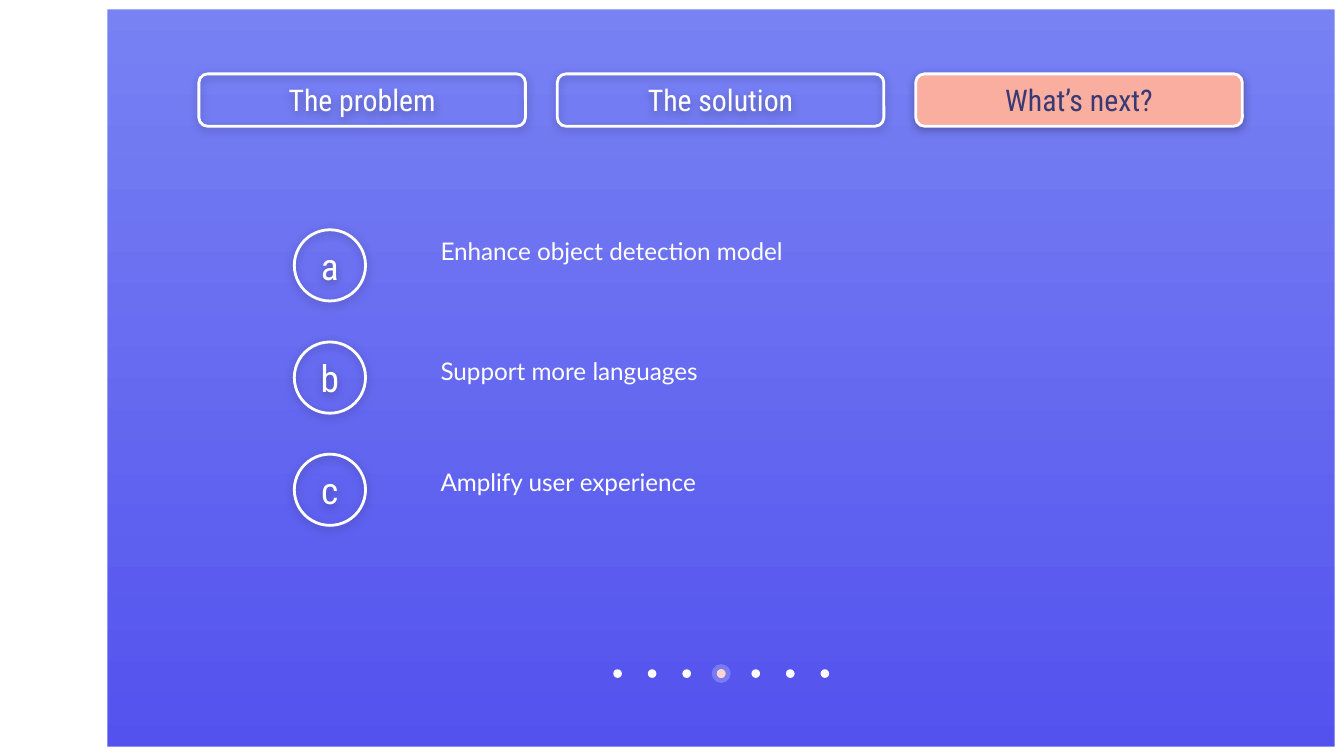
from lxml import etree
from pptx import Presentation
from pptx.dml.color import RGBColor
from pptx.enum.shapes import MSO_SHAPE
from pptx.enum.text import MSO_ANCHOR, PP_ALIGN
from pptx.oxml.ns import qn
from pptx.util import Inches, Pt

RECTANGLE = MSO_SHAPE.RECTANGLE
ROUNDED = MSO_SHAPE.ROUNDED_RECTANGLE
OVAL = MSO_SHAPE.OVAL
TOP, MIDDLE = MSO_ANCHOR.TOP, MSO_ANCHOR.MIDDLE
LEFT, CENTER = PP_ALIGN.LEFT, PP_ALIGN.CENTER

WIDTH, HEIGHT = Inches(10), Inches(5.625)
ASPECT = WIDTH / HEIGHT
WHITE, NAVY, CORAL, BLUSH = "FFFFFF", "393973", "F9AEA0", "FFD4CE"
HEADING, BODY = "Roboto Condensed", "Lato"

TABS = ["The problem", "The solution", "What’s next?"]
TAB_LEFT, TAB_STEP = 14.8, 26.67
STEPS = [
    ("a", "Enhance object detection model", 29.51, 47.4),
    ("b", "Support more languages", 45.33, 33.9),
    ("c", "Amplify user experience", 60.09, 33.9),
]
BADGE_TOP, BADGE_STEP, BADGE_SIZE = 30.4, 14.84, 5.3
DOT_COUNT, ACTIVE_DOT = 7, 3
DOT_LEFT, DOT_STEP, DOT_MIDDLE = 45.95, 2.57, 89.1


def color(value):
    return RGBColor.from_string(value)


def across(percent):
    return round(WIDTH * percent / 100)


def down(percent):
    return round(HEIGHT * percent / 100)


def place(left, top, width, height):
    return across(left), down(top), across(width), down(height)


def paint(shape, fill=None, line=None):
    shape.shadow.inherit = False
    if fill:
        shape.fill.solid()
        shape.fill.fore_color.rgb = color(fill)
    else:
        shape.fill.background()
    if line:
        shape.line.color.rgb = color(line)
        shape.line.width = Pt(1.5)
    else:
        shape.line.fill.background()


def add_figure(page, kind, area, fill=None, line=None):
    shape = page.shapes.add_shape(kind, *place(*area))
    paint(shape, fill, line)
    return shape


def add_glow(shape):
    effects = shape._element.spPr.find(qn("a:effectLst"))
    shadow = etree.SubElement(
        effects, qn("a:outerShdw"), blurRad=str(Pt(4.5)), dist=str(Pt(1.5)),
        dir="5400000", algn="bl", rotWithShape="0")
    tint = etree.SubElement(shadow, qn("a:srgbClr"), val=NAVY)
    etree.SubElement(tint, qn("a:alpha"), val="50000")


def set_opacity(shape, percent):
    tint = shape._element.spPr.find(qn("a:solidFill"))[0]
    etree.SubElement(tint, qn("a:alpha"), val=str(percent * 1000))


def write(shape, text, size, font, ink, align=CENTER, anchor=MIDDLE, side=0.1):
    frame = shape.text_frame
    frame.text = text
    frame.word_wrap = True
    frame.vertical_anchor = anchor
    frame.margin_left = frame.margin_right = Inches(side)
    frame.margin_top = frame.margin_bottom = Inches(0.1)
    para = frame.paragraphs[0]
    para.alignment = align
    span = para.runs[0].font
    span.size, span.name, span.color.rgb = Pt(size), font, color(ink)


def add_background(page):
    fill = page.background.fill
    fill.gradient()
    fill.gradient_angle = 270
    for stop, value in zip(fill.gradient_stops, ("7882F3", "5352EE")):
        stop.color.rgb = color(value)


def add_frame(page):
    inset_x, inset_y = across(0.7), down(1.24)
    right, bottom = WIDTH - inset_x, HEIGHT - inset_y
    builder = page.shapes.build_freeform(right, inset_y)
    builder.add_line_segments(
        [(right, bottom), (inset_x, bottom), (inset_x, inset_y)])
    builder.move_to(0, 0)
    builder.add_line_segments([(0, HEIGHT), (WIDTH, HEIGHT), (WIDTH, 0)])
    paint(builder.convert_to_shape(), WHITE)
    add_figure(page, RECTANGLE, (0, 0, 8, 100), WHITE)


def add_tab(page, index, text, active):
    area = (TAB_LEFT + index * TAB_STEP, 9.78, 24.3, 6.93)
    tab = add_figure(page, ROUNDED, area, CORAL if active else None, WHITE)
    add_glow(tab)
    write(tab, text, 16, HEADING, NAVY if active else WHITE, side=0.08)


def add_step(page, index, letter, text, top, width):
    area = (21.9, BADGE_TOP + index * BADGE_STEP, BADGE_SIZE, BADGE_SIZE * ASPECT)
    badge = add_figure(page, OVAL, area, line=WHITE)
    add_glow(badge)
    write(badge, letter, 20, HEADING, WHITE)
    box = page.shapes.add_textbox(*place(31.8, top, width, 11.2))
    write(box, text, 13, BODY, WHITE, LEFT, TOP)
    box.text_frame.paragraphs[0].space_after = Pt(16)


def add_dot(page, index, size, fill):
    height = size * ASPECT
    left = DOT_LEFT + index * DOT_STEP - size / 2
    return add_figure(page, OVAL, (left, DOT_MIDDLE - height / 2, size, height), fill)


def main():
    deck = Presentation()
    deck.slide_width, deck.slide_height = WIDTH, HEIGHT
    page = deck.slides.add_slide(deck.slide_layouts[6])
    add_background(page)
    add_frame(page)
    for index in range(DOT_COUNT):
        add_dot(page, index, 0.64, WHITE)
    set_opacity(add_dot(page, ACTIVE_DOT, 1.4, WHITE), 22)
    add_dot(page, ACTIVE_DOT, 0.64, BLUSH)
    for index, text in enumerate(TABS):
        add_tab(page, index, text, index == len(TABS) - 1)
    for index, step in enumerate(STEPS):
        add_step(page, index, *step)
    deck.save("out.pptx")


main()
